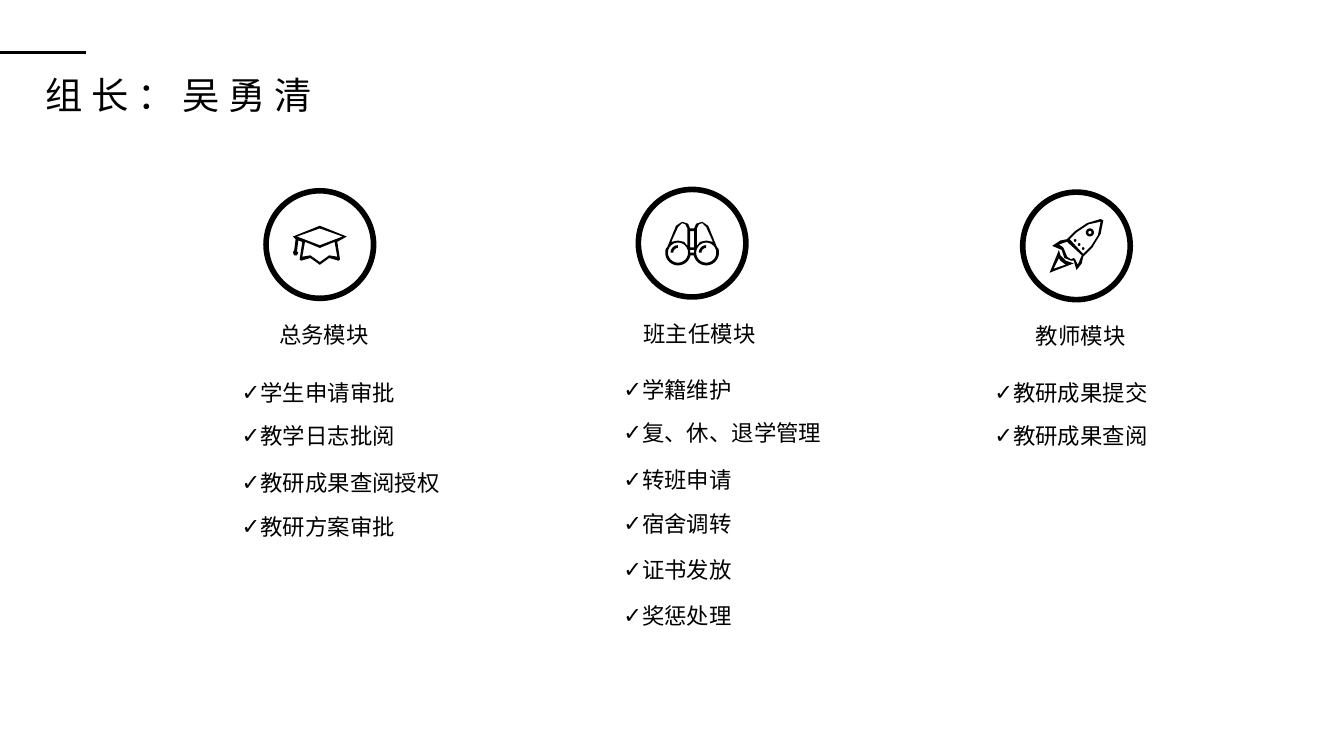
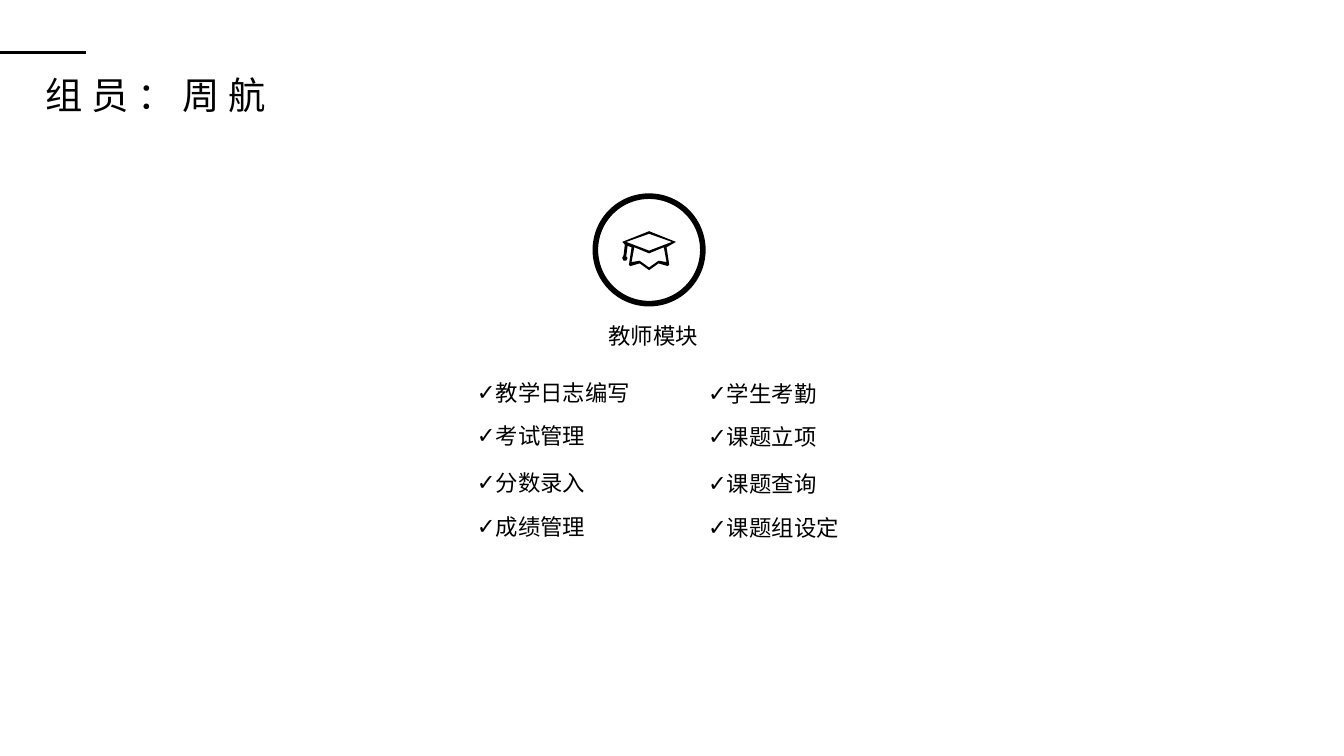
from math import cos, radians, sin

from lxml.etree import SubElement
from pptx import Presentation
from pptx.dml.color import RGBColor
from pptx.enum.shapes import MSO_CONNECTOR, MSO_SHAPE
from pptx.enum.text import MSO_AUTO_SIZE
from pptx.oxml.ns import qn
from pptx.util import Inches, Pt

COLORS = {"ink": "000000"}
TITLE_FONT, BODY_FONT = "Arial", "Montserrat"
RING = 8
ROWS = (0, 3.2, 6.7, 10, 13.4, 16.8)


def cells(count):
    """Turn a count of grid cells, a tenth of an inch each, into a length."""
    return Inches(count / 10)


def ink():
    """Return the colour of all text and lines."""
    return RGBColor.from_string(COLORS["ink"])


def arc(center_x, center_y, radius, start=0, end=360, steps=24):
    """List points along an arc, clockwise from the right."""
    angles = [radians(start + (end - start) * step / steps) for step in range(steps + 1)]
    return [(center_x + radius * cos(a), center_y + radius * sin(a)) for a in angles]


def mirrored(points):
    """Reflect an outline across the vertical axis."""
    return [(-x, y) for x, y in points]


def cap_outlines():
    """Describe a graduation cap in hundredths of an inch from its centre."""
    return [
        [(-20, -6), (0, -14), (20, -6), (13, -2), (15, 11), (14, 12), (7, 10), (0, 15),
         (-7, 10), (-14, 12), (-15, 11), (-13, -2), (-16, -3), (-17, 5), (-16, 6),
         (-17, 8), (-19, 8), (-20, 6), (-19, 4), (-18, -4)],
        [(0, 0.5), (-17, -6), (0, -12), (17, -6)],
        [(13, 9), (7, 8), (0, 13), (-7, 8), (-13, 9), (-11, -2), (0, 2.5), (11, -2)],
    ]


def binoculars_outlines():
    """Describe a pair of binoculars in hundredths of an inch from its centre."""
    half = [(0, -11), (1.5, -11), (3, -14.5), (7.5, -16), (12, -13), (18.5, 3),
            *arc(10.5, 7, 9.5, -20, 168), (0, 9)]
    barrel = [(3.5, 2), (3.5, -11), (5, -14), (7.5, -15), (10.5, -12), (15.5, -1),
              (10.5, -2), (6, -1)]
    lens = arc(10.5, 7, 7.5)
    glints = [arc(x, 7, 5.5, 180, 270) + arc(x, 7, 3.5, 270, 180) for x in (-10.5, 10.5)]
    bridge = [[(-1.5, top), (1.5, top), (1.5, bottom), (-1.5, bottom)]
              for top, bottom in ((-9, 3), (5, 7))]
    return [half + mirrored(half)[::-1], barrel, mirrored(barrel), lens, mirrored(lens),
            *glints, *bridge]


def rocket_outlines():
    """Describe a rocket in hundredths of an inch from its centre."""
    return [
        [(20, -19), (18, -20), (8, -17), (-1, -11), (-7, -5), (-12, -4), (-18, 0),
         (-11, 3), (-9, 9), (-4, 11), (-2, 11), (0, 18), (4, 13), (5, 8), (12, 1), (18, -9)],
        [(11, 0), (5, 6), (-5, -5), (0, -10), (9, -16), (18, -18), (16, -8)],
        [(4, 7), (1, 14), (-1, 10), (-2, 9), (-4, 10), (-7, 8), (-9, 3), (-10, 1),
         (-13, -1), (-7, -3)],
        arc(10, -10, 3), arc(10, -10, 1.2),
        *[arc(x, x - 3, 1) for x in (-1, 2, 5)],
        [(-13, 3), (-20, 20), (-2, 13), (-8, 11), (-12, 7)],
        [(-13, 9), (-17, 17), (-8, 14), (-12, 11)],
    ]


def add_icon(slide, outlines, center_x, center_y):
    """Draw all outlines as one filled shape with holes."""
    placed = [[(cells(center_x + x / 10), cells(center_y + y / 10)) for x, y in outline]
              for outline in outlines]
    builder = slide.shapes.build_freeform(*placed[0][0], scale=1)
    builder.add_line_segments(placed[0][1:])
    for outline in placed[1:]:
        builder.move_to(*outline[0])
        builder.add_line_segments(outline[1:])
    icon = builder.convert_to_shape()
    icon.shadow.inherit = False
    icon.fill.solid()
    icon.fill.fore_color.rgb = ink()
    icon.line.fill.background()


def add_ring_icon(slide, outlines, left, top):
    """Draw a ring with an icon at its centre."""
    ring = slide.shapes.add_shape(MSO_SHAPE.OVAL, cells(left), cells(top), cells(RING), cells(RING))
    ring.shadow.inherit = False
    ring.fill.background()
    ring.line.color.rgb = ink()
    ring.line.width = Pt(3)
    add_icon(slide, outlines, left + RING / 2, top + RING / 2)


def add_text(slide, text, left, top, width, height, size=12, font=BODY_FONT, wrap=False):
    """Add a text box of one paragraph and return the paragraph."""
    box = slide.shapes.add_textbox(cells(left), cells(top), cells(width), cells(height))
    box.text_frame.word_wrap = wrap
    box.text_frame.auto_size = MSO_AUTO_SIZE.SHAPE_TO_FIT_TEXT
    para = box.text_frame.paragraphs[0]
    para.text = text
    span = para.runs[0]
    span.font.size = Pt(size)
    span.font.name = font
    span.font.color.rgb = ink()
    return para


def add_heading(slide, text, left, top):
    """Add a module name in a box that fits its length."""
    add_text(slide, text, left, top, 2.1 + 1.67 * len(text), 3)


def add_checklist(slide, items, left, top):
    """Add ticked items in rows."""
    for row, item in zip(ROWS, items):
        para = add_text(slide, item, left, top + row, 18.8, 4.5, wrap=True)
        para.line_spacing = 2.0
        properties = para._p.get_or_add_pPr()
        properties.set("marL", str(cells(1.4)))
        properties.set("indent", str(-cells(1.4)))
        SubElement(properties, qn("a:buFont")).set("typeface", TITLE_FONT)
        SubElement(properties, qn("a:buChar")).set("char", "✓")


def add_titled_page(deck, title):
    """Add a blank page with the accent line and the spaced title."""
    slide = deck.slides.add_slide(deck.slide_layouts[6])
    accent = slide.shapes.add_connector(
        MSO_CONNECTOR.STRAIGHT, 0, cells(3.9), cells(6.4), cells(3.9))
    accent.line.color.rgb = ink()
    accent.line.width = Pt(2)
    SubElement(accent._element.spPr, qn("a:effectLst"))
    para = add_text(slide, title, 2.4, 5.5, 2.2 + 3.4 * len(title), 3.7, 20, TITLE_FONT)
    para.line_spacing = 0.8
    para.runs[0]._r.get_or_add_rPr().set("spc", "450")
    return slide


def add_leader_page(deck):
    """Add the page with the three modules of the group leader."""
    slide = add_titled_page(deck, "组长：吴勇清")
    add_ring_icon(slide, cap_outlines(), 19.8, 14.2)
    add_heading(slide, "总务模块", 19.8, 23.4)
    add_checklist(slide, ["学生申请审批", "教学日志批阅", "教研成果查阅授权", "教研方案审批"], 17, 25.7)
    add_ring_icon(slide, binoculars_outlines(), 47.5, 14.1)
    add_heading(slide, "班主任模块", 46.9, 23.3)
    add_checklist(slide, ["学籍维护", "复、休、退学管理", "转班申请", "宿舍调转", "证书发放", "奖惩处理"],
                  45.4, 25.5)
    add_ring_icon(slide, rocket_outlines(), 76.1, 14.3)
    add_heading(slide, "教师模块", 76.1, 23.5)
    add_checklist(slide, ["教研成果提交", "教研成果查阅"], 73, 25.7)


def add_member_page(deck):
    """Add the page with the single module of the group member."""
    slide = add_titled_page(deck, "组员：周航")
    add_ring_icon(slide, cap_outlines(), 44.3, 14.6)
    add_heading(slide, "教师模块", 44.3, 23.5)
    add_checklist(slide, ["教学日志编写", "考试管理", "分数录入", "成绩管理"], 34.5, 25.7)
    add_checklist(slide, ["学生考勤", "课题立项", "课题查询", "课题组设定"], 51.7, 25.8)


def main():
    """Build and save the deck."""
    deck = Presentation()
    deck.slide_width = Inches(10)
    deck.slide_height = deck.slide_width * 9 // 16
    add_leader_page(deck)
    add_member_page(deck)
    deck.save("out.pptx")


if __name__ == "__main__":
    main()
